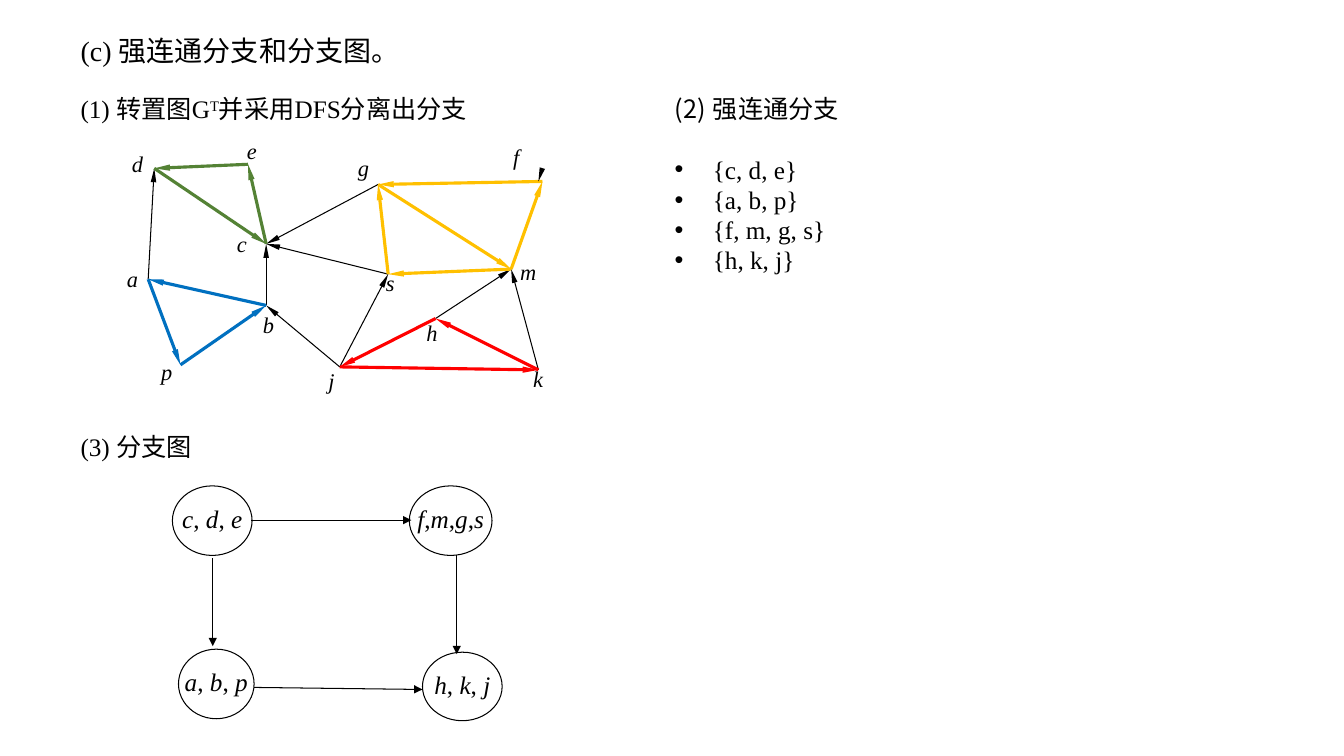
"""Build the slide on strongly connected components and the component graph."""
from lxml.etree import SubElement as Sub
from pptx import Presentation
from pptx.dml.color import RGBColor
from pptx.enum.shapes import MSO_CONNECTOR as Conn, MSO_SHAPE as Shape
from pptx.enum.text import MSO_ANCHOR as Anchor, MSO_AUTO_SIZE as Auto, PP_ALIGN as Align
from pptx.oxml.ns import qn
from pptx.util import Inches, Pt


def write(para, text, size, italic=False):
    run = para.add_run()
    run.text = text
    font = run.font
    font.name, font.size, font.italic = "Times New Roman", Pt(size), italic
    font.color.rgb = RGBColor.from_string("000000")
    return run


def arrow(start, end, color="000000", width=0.75, wide="med", long="med"):
    line = slide.shapes.add_connector(Conn.STRAIGHT, *map(Inches, start + end))
    line.line.color.rgb = RGBColor.from_string(color)
    line.line.width = Pt(width)
    Sub(line.line._get_or_add_ln(), qn("a:tailEnd"), type="triangle", w=wide, len=long)
    Sub(line._element.spPr, qn("a:effectLst"))


deck = Presentation()
deck.slide_width, deck.slide_height = Inches(13.33), Inches(7.5)
slide = deck.slides.add_slide(deck.slide_layouts[1])

title, body = slide.placeholders
for holder, box in ((title, (0.7, 0.28, 8.72, 0.44)), (body, (6.59, 0.88, 4.55, 1.92))):
    holder.left, holder.top, holder.width, holder.height = map(Inches, box)
    holder.text_frame.auto_size = Auto.NONE
    holder.text_frame.vertical_anchor = Anchor.TOP
head = title.text_frame.paragraphs[0]
head.alignment = Align.LEFT
write(head, "(c) 强连通分支和分支图。", 20)

items = ["强连通分支", "{c, d, e}", "{a, b, p}", "{f, m, g, s}", "{h, k, j}"]
for i, item in enumerate(items):
    para = body.text_frame.paragraphs[0] if i == 0 else body.text_frame.add_paragraph()
    para.space_before = Pt(21.5 if i == 1 else 0)
    props = para._p.get_or_add_pPr()
    props.set("marL", str(Inches(0.38)))
    props.set("indent", str(-Inches(0.38)))
    if i == 0:
        Sub(props, qn("a:buFont"), typeface="+mj-lt")
        Sub(props, qn("a:buAutoNum"), type="arabicParenBoth", startAt="2")
    else:
        Sub(props, qn("a:buFont"), typeface="Arial")
        Sub(props, qn("a:buChar"), char="•")
    write(para, item, 18)

heads = [(0.88, ["(1) 转置图G", "T", "并采用DFS分离出分支"]), (4.23, ["(3) 分支图"])]
for top, parts in heads:
    frame = slide.shapes.add_textbox(*map(Inches, (0.7, top, 4.55, 0.4))).text_frame
    frame.word_wrap = True
    for part in parts:
        run = write(frame.paragraphs[0], part, 18)
        if part == "T":
            run.font._element.set("baseline", "30000")

nodes = {
    "a": (1.47, 2.77), "b": (2.64, 3.03), "c": (2.64, 2.42), "d": (1.53, 1.67),
    "e": (2.46, 1.63), "f": (5.38, 1.8), "g": (3.75, 1.83), "h": (4.32, 3.16),
    "j": (3.37, 3.64), "k": (5.34, 3.67), "m": (5.07, 2.67), "p": (1.79, 3.62),
    "s": (3.85, 2.72),
}
labels = {
    "a": (1.16, 2.58, 0.49, 0.54), "b": (2.51, 3.04, 0.53, 0.57),
    "c": (2.25, 2.23, 0.49, 0.51), "d": (1.21, 1.44, 0.69, 0.6),
    "e": (2.35, 1.31, 0.48, 0.42), "f": (4.99, 1.37, 0.48, 0.55),
    "g": (3.45, 1.48, 0.59, 0.54), "h": (4.13, 3.12, 0.5, 0.46),
    "j": (3.16, 3.59, 0.43, 0.48), "k": (5.19, 3.57, 0.67, 0.57),
    "m": (5.06, 2.51, 0.43, 0.46), "p": (1.5, 3.5, 0.55, 0.56),
    "s": (3.73, 2.62, 0.6, 0.52),
}
for name, box in labels.items():
    frame = slide.shapes.add_textbox(*map(Inches, box)).text_frame
    frame.word_wrap = True
    write(frame.paragraphs[0], name, 16, True)

edges = [
    ("000000", 0.75, "bc jb sc js hm gc km ad"),
    ("548235", 2.25, "ed dc ce"),
    ("0070C0", 2.25, "ba ap pb"),
    ("FFC000", 2.25, "ms fg mf gm sg"),
    ("FF0000", 2.25, "hj kh jk"),
]
for color, width, pairs in edges:
    for tail, tip in pairs.split():
        arrow(nodes[tail], nodes[tip], color, width, "sm", "lg")
for start, end in (((5.4, 2.48), (5.4, 2.48)), ((5.37, 1.7), (5.34, 1.8))):
    arrow(start, end, wide="sm", long="lg")

groups = [
    ("cde", (1.71, 4.82, 0.79, 0.69), ", "),
    ("fmgs", (4.06, 4.82, 0.82, 0.69), ","),
    ("abp", (1.77, 6.44, 0.75, 0.69), ", "),
    ("hkj", (4.19, 6.47, 0.79, 0.68), ", "),
]
for names, box, comma in groups:
    ring = slide.shapes.add_shape(Shape.OVAL, *map(Inches, box))
    ring.shadow.inherit = False
    ring.fill.background()
    ring.line.color.rgb = RGBColor.from_string("000000")
    ring.line.width = Pt(0.75)
    frame = ring.text_frame
    frame.word_wrap = False
    frame.vertical_anchor = Anchor.MIDDLE
    frame.margin_left = frame.margin_right = frame.margin_top = 0
    frame.margin_bottom = Inches(0.04)
    para = frame.paragraphs[0]
    para.alignment = Align.CENTER
    for i, name in enumerate(names):
        if i:
            write(para, comma, 18)
        write(para, name, 18, True)

arrow((2.11, 5.54), (2.11, 6.41))
arrow((2.49, 5.16), (4.08, 5.16))
arrow((4.53, 5.51), (4.53, 6.49))
arrow((2.52, 6.82), (4.19, 6.84))

deck.save("out.pptx")
